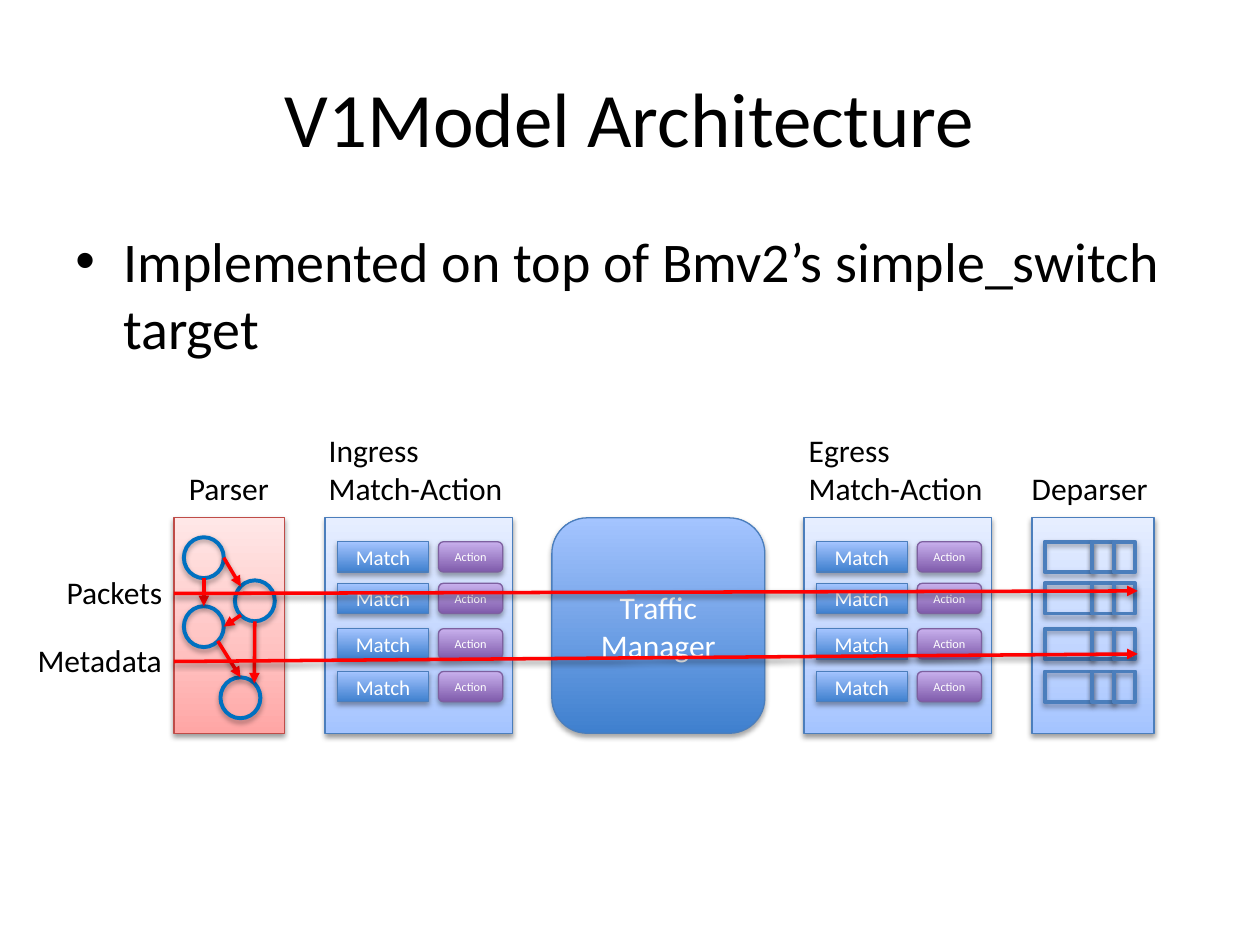
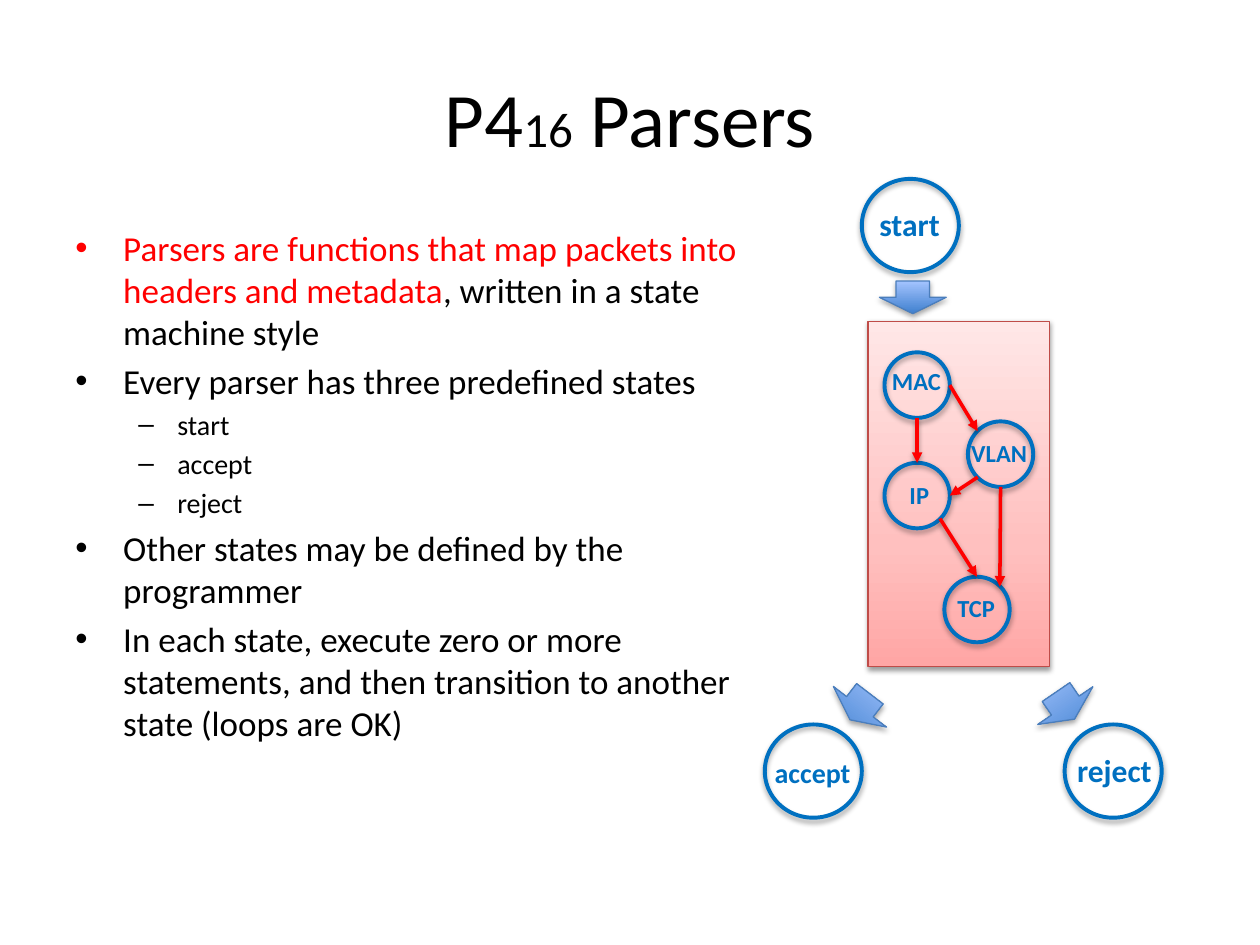
import pptx
import pptx.util
import pptx.dml.color
import pptx.enum.shapes
import pptx.enum.text
import pptx.oxml
import pptx.oxml.ns

Inches, Pt = pptx.util.Inches, pptx.util.Pt
RGBColor = pptx.dml.color.RGBColor
SHAPE = pptx.enum.shapes.MSO_SHAPE
ALIGN = pptx.enum.text.PP_ALIGN
ANCHOR = pptx.enum.text.MSO_ANCHOR
qn = pptx.oxml.ns.qn
NS = pptx.oxml.ns.nsdecls("a")

FONT = "Calibri"
BLACK = RGBColor(0x00, 0x00, 0x00)
WHITE = RGBColor(0xFF, 0xFF, 0xFF)
RED = RGBColor(0xFF, 0x00, 0x00)
STATE_BLUE = RGBColor(0x00, 0x70, 0xC0)
BLUE_LINE = RGBColor(0x4B, 0x7E, 0xBC)
RED_LINE = RGBColor(0xBF, 0x4C, 0x48)
PURPLE_LINE = RGBColor(0x7D, 0x60, 0xA0)

# Gradients run from the bottom up: (position in percent, colour)
PINK = ((0, RGBColor(0xFF, 0xA6, 0xA5)), (35, RGBColor(0xFF, 0xC0, 0xBF)),
        (100, RGBColor(0xFF, 0xE7, 0xE7)))
PALE_BLUE = ((0, RGBColor(0xA4, 0xC4, 0xFF)), (35, RGBColor(0xBF, 0xD4, 0xFF)),
             (100, RGBColor(0xE6, 0xEE, 0xFF)))
BLUE = ((0, RGBColor(0x3F, 0x80, 0xCE)), (100, RGBColor(0xA4, 0xC4, 0xFF)))
PURPLE = ((0, RGBColor(0x7F, 0x5B, 0xAB)), (100, RGBColor(0xC8, 0xB0, 0xED)))

# Shadows: (opacity in percent, distance in points)
SOFT, DEEP = (38, 1.6), (35, 1.8)

# Parser graph: states as fractions of the panel, edges between rim points
STATE_SIZE = (0.36, 0.19)
STATES = {"MAC": (0.09, 0.09), "IP": (0.09, 0.41),
          "VLAN": (0.55, 0.29), "TCP": (0.42, 0.74)}
RIM = {"top": (0.5, 0), "right": (1, 0.5), "bottom": (0.5, 1),
       "top left": (0.15, 0.15), "top right": (0.85, 0.15),
       "bottom left": (0.15, 0.85), "bottom right": (0.85, 0.85)}
EDGES = (("MAC", "right", "VLAN", "top left"),
         ("MAC", "bottom", "IP", "top"),
         ("VLAN", "bottom left", "IP", "right"),
         ("IP", "bottom right", "TCP", "top"),
         ("VLAN", "bottom", "TCP", "top right"))


class Deck:
    def __init__(self):
        self.prs = pptx.Presentation()
        self.prs.slide_width, self.prs.slide_height = Inches(10), Inches(7.5)
        self.s = None

    def style(self, r, size, color, bold=False):
        r.font.name, r.font.size, r.font.bold = FONT, Pt(size), bold
        r.font.color.rgb = color

    def runs(self, p, parts):
        """Add (text, size, colour) runs to a paragraph."""
        for text, size, color in parts:
            r = p.add_run()
            r.text = text
            self.style(r, size, color)

    def slide(self, *title):
        self.s = self.prs.slides.add_slide(self.prs.slide_layouts[5])
        sp = self.s.shapes.title
        sp.left, sp.top = Inches(0.5), Inches(0.3)
        sp.width, sp.height = Inches(9), Inches(1.25)
        sp.text_frame.vertical_anchor = ANCHOR.MIDDLE
        p = sp.text_frame.paragraphs[0]
        p.alignment = ALIGN.CENTER
        self.runs(p, title)

    def box(self, x, y, w, h):
        return self.s.shapes.add_textbox(Inches(x), Inches(y), Inches(w), Inches(h)).text_frame

    def bullets(self, w, h, items):
        """Add (level, runs) paragraphs with hanging bullets."""
        tf = self.box(0.5, 1.75, w, h)
        tf.word_wrap = True
        for i, (level, parts) in enumerate(items):
            p = tf.add_paragraph() if i else tf.paragraphs[0]
            self.runs(p, parts)
            p.level = level
            p.space_before = Pt(parts[0][1] * 0.2)
            indent, hang, mark = ((0.38, 0.38, "•"), (0.81, 0.31, "–"))[level]
            pPr = p._p.get_or_add_pPr()
            pPr.set("marL", str(Inches(indent)))
            pPr.set("indent", str(-Inches(hang)))
            pPr.append(pptx.oxml.parse_xml(f'<a:buFont {NS} typeface="Arial"/>'))
            pPr.append(pptx.oxml.parse_xml(f'<a:buChar {NS} char="{mark}"/>'))

    def label(self, text, x, y, w, h, size=18, color=BLACK, bold=False):
        tf = self.box(x, y, w, h)
        tf.word_wrap = False
        tf.text = text
        for p in tf.paragraphs:
            self.style(p.runs[0], size, color, bold)

    def shadow(self, spPr, kind):
        alpha, dist = kind
        for old in spPr.findall(qn("a:effectLst")):
            spPr.remove(old)
        spPr.append(pptx.oxml.parse_xml(
            f'<a:effectLst {NS}><a:outerShdw blurRad="{Pt(3.1)}" dist="{Pt(dist)}" '
            f'dir="5400000" rotWithShape="0"><a:srgbClr val="000000">'
            f'<a:alpha val="{alpha * 1000}"/></a:srgbClr></a:outerShdw></a:effectLst>'))

    def shape(self, kind, x, y, w, h, line, fill=None, weight=0.75, shadow=DEEP,
              text="", size=18, rotation=0):
        sp = self.s.shapes.add_shape(kind, Inches(x), Inches(y), Inches(w), Inches(h))
        sp.rotation = rotation
        sp.line.color.rgb, sp.line.width = line, Pt(weight)
        spPr = sp._element.spPr
        if fill:
            sp.fill.gradient()
            sp.fill.gradient_angle = 90
            stops = spPr.find(qn("a:gradFill")).find(qn("a:gsLst"))
            for old in list(stops):
                stops.remove(old)
            for pos, color in fill:
                stops.append(pptx.oxml.parse_xml(
                    f'<a:gs {NS} pos="{pos * 1000}"><a:srgbClr val="{color}"/></a:gs>'))
        else:
            sp.fill.background()
        self.shadow(spPr, shadow)
        if text:
            tf = sp.text_frame
            tf.text, tf.word_wrap = text, True
            tf.vertical_anchor = ANCHOR.MIDDLE
            tf.paragraphs[0].alignment = ALIGN.CENTER
            self.style(tf.paragraphs[0].runs[0], size, WHITE)

    def panel(self, x, y, w, h, line=BLUE_LINE, fill=PALE_BLUE):
        self.shape(SHAPE.RECTANGLE, x, y, w, h, line, fill, shadow=SOFT)

    def state(self, x, y, w, h):
        self.shape(SHAPE.FLOWCHART_CONNECTOR, x, y, w, h, STATE_BLUE, weight=2.25)

    def arrow(self, x1, y1, x2, y2):
        c = self.s.shapes.add_connector(pptx.enum.shapes.MSO_CONNECTOR.STRAIGHT,
                                        Inches(x1), Inches(y1), Inches(x2), Inches(y2))
        c.line.color.rgb, c.line.width = RED, Pt(2)
        c.line._get_or_add_ln().append(
            pptx.oxml.parse_xml(f'<a:tailEnd {NS} type="triangle"/>'))
        self.shadow(c._element.spPr, SOFT)

    def parser_graph(self, x, y, w, h):
        self.panel(x, y, w, h, RED_LINE, PINK)
        sw, sh = STATE_SIZE[0] * w, STATE_SIZE[1] * h
        at = {name: (x + fx * w, y + fy * h) for name, (fx, fy) in STATES.items()}
        for left, top in at.values():
            self.state(left, top, sw, sh)

        def rim(name, side):
            return at[name][0] + RIM[side][0] * sw, at[name][1] + RIM[side][1] * sh

        for start, start_side, end, end_side in EDGES:
            self.arrow(*rim(start, start_side), *rim(end, end_side))


def architecture(d):
    d.slide(("V1Model Architecture", 44, BLACK))
    d.bullets(9, 1.25, [
        (0, [("Implemented on top of Bmv2’s simple_switch target", 32, BLACK)])])

    top, height = 4.11, 1.71
    row_tops, row_height = (4.3, 4.63, 4.99, 5.33), 0.24

    # Pipeline blocks
    d.parser_graph(1.38, top, 0.88, height)
    for x in (2.58, 6.38):
        d.panel(x, top, 1.49, height)
        for y in row_tops:
            d.shape(SHAPE.RECTANGLE, x + 0.1, y, 0.72, row_height, BLUE_LINE, BLUE,
                    text="Match", size=12)
            d.shape(SHAPE.ROUNDED_RECTANGLE, x + 0.9, y, 0.51, row_height, PURPLE_LINE,
                    PURPLE, text="Action", size=7)
    d.shape(SHAPE.ROUNDED_RECTANGLE, 4.38, top, 1.69, height, BLUE_LINE, BLUE,
            text="Traffic Manager")

    # Deparser with its header fields
    d.panel(8.19, top, 0.97, height)
    for x, w in ((8.29, 0.38), (8.67, 0.17), (8.84, 0.17)):
        for y in row_tops:
            d.shape(SHAPE.RECTANGLE, x, y, w, row_height, BLUE_LINE, weight=2.25)

    # Block names
    d.label("Parser", 1.4, 3.67, 0.84, 0.4)
    d.label("Ingress\nMatch-Action", 2.51, 3.37, 1.78, 0.71)
    d.label("Egress\nMatch-Action", 6.32, 3.37, 1.78, 0.71)
    d.label("Deparser", 8.09, 3.67, 1.13, 0.4)

    # Flows through the pipeline
    d.arrow(1.38, 4.71, 9.03, 4.69)
    d.arrow(1.38, 5.25, 9.03, 5.19)
    d.label("Packets", 0.43, 4.5, 0.97, 0.4)
    d.label("Metadata", 0.2, 5.04, 1.2, 0.4)


def parsers(d):
    d.slide(("P4", 44, BLACK), ("16", 28, BLACK), (" Parsers", 44, BLACK))
    d.bullets(5.77, 4.95, [
        (0, [("Parsers are functions that map packets into headers and metadata", 20, RED),
             (", written in a state machine style", 20, BLACK)]),
        (0, [("Every parser has three predefined states", 20, BLACK)]),
        *[(1, [(name, 16, BLACK)]) for name in ("start", "accept", "reject")],
        (0, [("Other states may be defined by the programmer", 20, BLACK)]),
        (0, [("In each state, execute zero or more statements, and then transition "
              "to another state (loops are OK)", 20, BLACK)])])

    # States inside the parser
    d.parser_graph(6.89, 2.55, 1.44, 2.74)
    for name, x, y, w in (("MAC", 6.98, 2.86, 0.59), ("VLAN", 7.61, 3.43, 0.65),
                          ("IP", 7.12, 3.76, 0.36), ("TCP", 7.5, 4.66, 0.5)):
        d.label(name, x, y, w, 0.34, 14, STATE_BLUE, True)

    # Predefined states: circle corner, then label place and size
    for name, x, y, label_x, label_y, w, size in (
            ("start", 6.84, 1.42, 6.88, 1.58, 0.69, 18),
            ("accept", 6.07, 5.75, 6.05, 5.95, 0.81, 16),
            ("reject", 8.45, 5.75, 8.45, 5.91, 0.8, 18)):
        d.state(x, y, 0.77, 0.74)
        d.label(name, label_x, label_y, w, 0.4, size, STATE_BLUE, True)

    # Block arrows into and out of the parser
    for x, y, rotation in ((6.98, 2.23, 0), (6.56, 5.48, 37.4), (8.19, 5.47, 325.6)):
        d.shape(SHAPE.DOWN_ARROW, x, y, 0.53, 0.26, BLUE_LINE, BLUE, rotation=rotation)


def main():
    d = Deck()
    architecture(d)
    parsers(d)
    d.prs.save("out.pptx")


if __name__ == "__main__":
    main()
